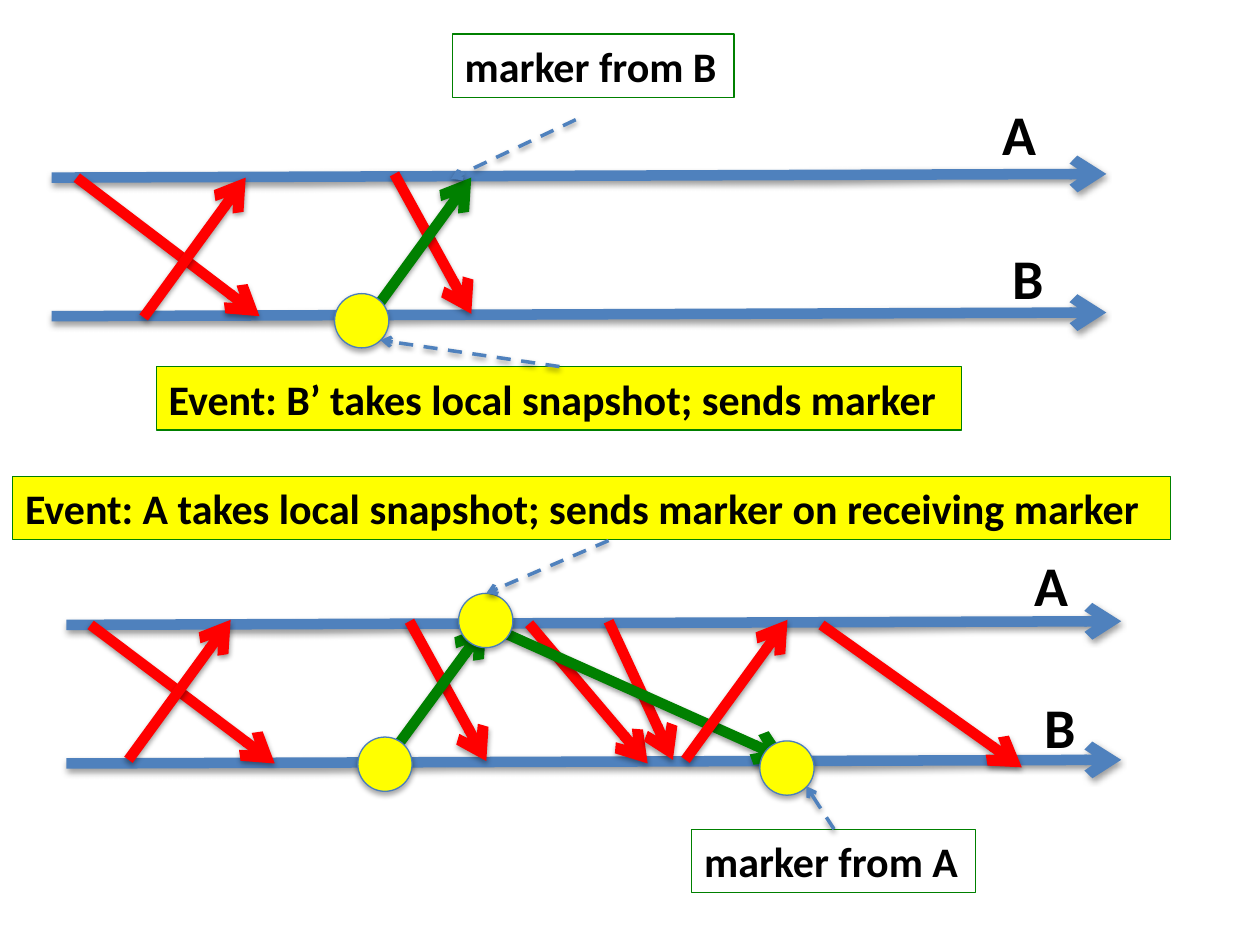
from lxml import etree
from pptx import Presentation
from pptx.dml.color import RGBColor
from pptx.enum.dml import MSO_LINE
from pptx.enum.shapes import MSO_CONNECTOR, MSO_SHAPE
from pptx.enum.text import MSO_ANCHOR, PP_ALIGN
from pptx.oxml.ns import qn
from pptx.util import Pt

STRAIGHT = MSO_CONNECTOR.STRAIGHT
OVAL, RECTANGLE = MSO_SHAPE.OVAL, MSO_SHAPE.RECTANGLE
DASH = MSO_LINE.DASH
LEFT, MIDDLE = PP_ALIGN.LEFT, MSO_ANCHOR.MIDDLE
BLUE, RED, GREEN, YELLOW = "4F81BD", "FF0000", "008000", "FFFF00"
FONT = "Calibri"

# Timelines: left and top of each pair
PAIRS = [(29.5, 101.5), (38, 357.1)]
PAIR_GAP, LINE_LENGTH, LINE_RISE = 79.2, 602.7, 2.1

# Messages: colour, start x, start y, end x, end y
MESSAGES = [
    (RED, 43.9, 101.5, 148.3, 180.7),
    (RED, 225.4, 99.4, 269.3, 179.3),
    (GREEN, 211, 181.4, 269.3, 101.5),
    (RED, 51.8, 357.1, 157, 436.3),
    (RED, 234, 355, 277.9, 434.9),
    (RED, 302.4, 356.4, 370.1, 436.3),
    (RED, 347.8, 355, 384.5, 434.2),
    (GREEN, 219.6, 436.3, 277.9, 357.1),
    (GREEN, 277.9, 357.1, 450, 434.2),
    (RED, 469.4, 357.1, 583.9, 438.5),
    (RED, 82.1, 181.4, 140.4, 101.5),
    (RED, 73.4, 434.2, 131.8, 354.2),
    (RED, 391.7, 434.2, 450, 354.2),
]

# Process names: text, left, top, width
PROCESSES = [("A", 565.9, 53.3, 33.8), ("B", 571.7, 135.4, 32.4),
             ("A", 583.9, 311, 33.8), ("B", 589.7, 392.4, 32.4)]

# Snapshot circles: left, top
SNAPSHOTS = [(191.2, 167.8), (204.5, 421.2), (262.1, 339.1), (434.2, 423.4)]
CIRCLE = 31

# Callouts: text, fill, left, top, width, pointer start and end
CALLOUTS = [
    ("marker from B", None, 258.5, 19.4, 161, (329, 68.4, 257.8, 102.2)),
    ("Event: B’ takes local snapshot; sends marker", YELLOW,
     89.3, 209.5, 460.1, (319.7, 209.5, 217.4, 194.4)),
    ("Event: A takes local snapshot; sends marker on receiving marker", YELLOW,
     7.2, 272.2, 661.7, (347.8, 308.9, 277.9, 339.1)),
    ("marker from A", None, 395.3, 473.8, 162, (476.6, 473.8, 460.8, 449.3)),
]
CALLOUT_HEIGHT = 36.2

deck = Presentation()
deck.slide_width, deck.slide_height = Pt(720), Pt(540)
page = deck.slides.add_slide(deck.slide_layouts[6])


def color(value):
    return RGBColor.from_string(value)


def add_shadow(item, distance, opacity):
    properties = item._element.spPr
    effects = properties.find(qn("a:effectLst"))
    if effects is None:
        effects = etree.SubElement(properties, qn("a:effectLst"))
    shadow = etree.SubElement(
        effects, qn("a:outerShdw"), blurRad=str(Pt(3.15)), dist=str(Pt(distance)),
        dir="5400000", rotWithShape="0")
    black = etree.SubElement(shadow, qn("a:srgbClr"), val="000000")
    etree.SubElement(black, qn("a:alpha"), val=str(opacity * 1000))


def add_arrow(ends, line_color, width=6, dash=None):
    arrow = page.shapes.add_connector(STRAIGHT, *map(Pt, ends))
    arrow.line.color.rgb = color(line_color)
    arrow.line.width = Pt(width)
    if dash is not None:
        arrow.line.dash_style = dash
    etree.SubElement(arrow.line._get_or_add_ln(), qn("a:tailEnd"), type="arrow")
    add_shadow(arrow, 1.6, 38)


def add_outline(kind, left, top, width, height, fill, line_color):
    shape = page.shapes.add_shape(kind, Pt(left), Pt(top), Pt(width), Pt(height))
    shape.shadow.inherit = False
    if fill:
        shape.fill.solid()
        shape.fill.fore_color.rgb = color(fill)
    else:
        shape.fill.background()
    shape.line.color.rgb = color(line_color)
    shape.line.width = Pt(0.75)
    return shape


def write(box, text, size, wrap):
    frame = box.text_frame
    frame.text = text
    frame.word_wrap = wrap
    para = frame.paragraphs[0]
    para.alignment = LEFT
    font = para.runs[0].font
    font.name, font.size, font.bold = FONT, Pt(size), True
    font.color.rgb = color("000000")


# Timelines and messages
for left, top in PAIRS:
    for y in (top, top + PAIR_GAP):
        add_arrow((left, y, left + LINE_LENGTH, y - LINE_RISE), BLUE)
for message_color, *ends in MESSAGES:
    add_arrow(ends, message_color)

# Process names
for name, left, top, width in PROCESSES:
    box = page.shapes.add_textbox(Pt(left), Pt(top), Pt(width), Pt(46))
    write(box, name, 32, False)

# Snapshot circles
for left, top in SNAPSHOTS:
    circle = add_outline(OVAL, left, top, CIRCLE, CIRCLE, YELLOW, "4B7EBC")
    add_shadow(circle, 1.8, 35)

# Callouts with their dashed pointers
for text, fill, left, top, width, pointer in CALLOUTS:
    box = add_outline(RECTANGLE, left, top, width, CALLOUT_HEIGHT, fill, GREEN)
    box.text_frame.vertical_anchor = MIDDLE
    write(box, text, 24, True)
    add_arrow(pointer, BLUE, 2, DASH)

deck.save("out.pptx")
